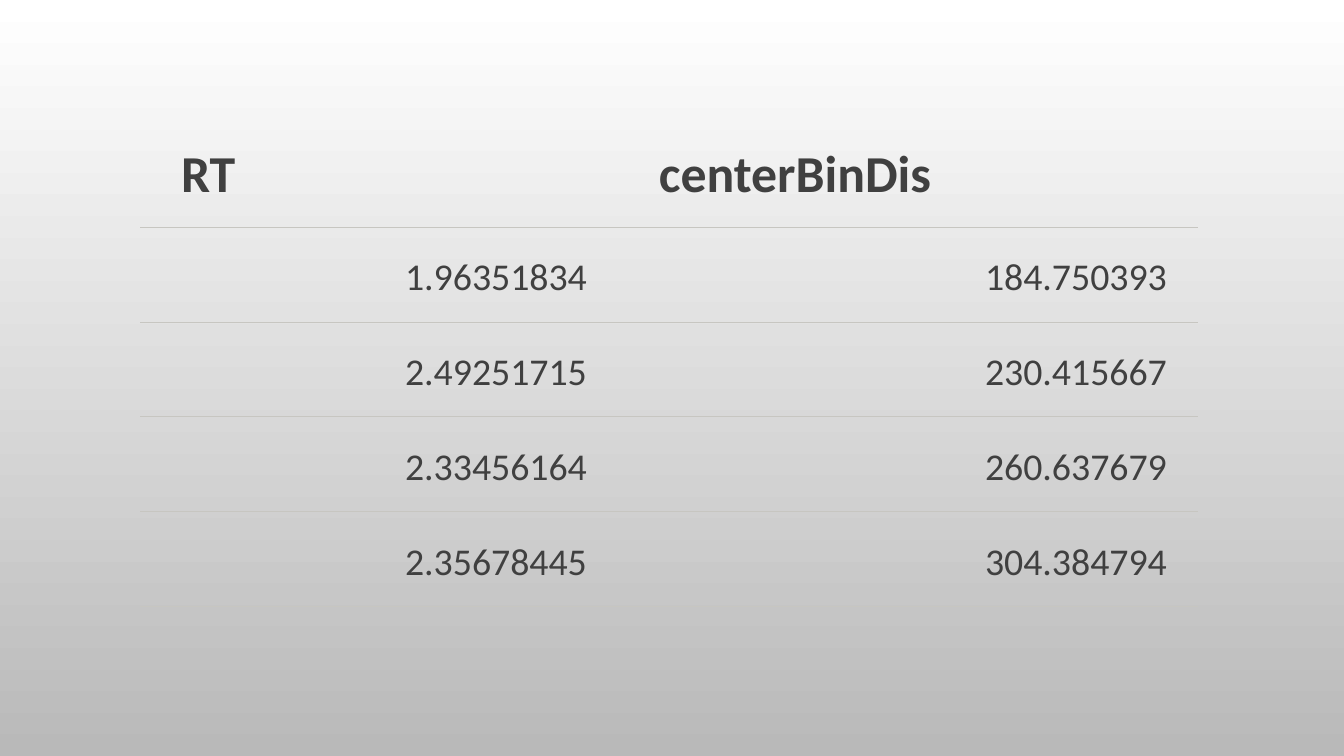
from lxml import etree
from pptx import Presentation
from pptx.dml.color import RGBColor
from pptx.enum.text import MSO_ANCHOR, PP_ALIGN
from pptx.oxml.ns import qn
from pptx.util import Emu, Pt

ROWS = [
    ("RT", "centerBinDis"),
    ("1.96351834", "184.750393"),
    ("2.49251715", "230.415667"),
    ("2.33456164", "260.637679"),
    ("2.35678445", "304.384794"),
]

SLIDE = (1344, 756)
LEFT, TOP = 140, 115
COLS = (478, 580)
HEAD, BODY = 112, 95
PAD_X, PAD_END, PAD_Y = 41, 31, 21

FONT = "Calibri"
INK = RGBColor(0x40, 0x40, 0x40)
RULE = RGBColor(0xC7, 0xC6, 0xC1)
SHADES = (RGBColor(0xFF, 0xFF, 0xFF), RGBColor(0xB9, 0xB9, 0xB9))
PLAIN = "{2D5ABB26-0587-4C30-8999-92F81FD0307C}"
BOTTOM = MSO_ANCHOR.BOTTOM
START, END = PP_ALIGN.LEFT, PP_ALIGN.RIGHT


def px(n):
    return Emu(round(n * 914400 / 100.8))


def rule_below(cell):
    line = etree.Element(qn("a:lnB"), w=str(Pt(0.75)))
    fill = etree.SubElement(line, qn("a:solidFill"))
    etree.SubElement(fill, qn("a:srgbClr"), val=str(RULE))
    cell._tc.get_or_add_tcPr().insert(0, line)


def fill_cell(cell, text, head):
    cell.fill.background()
    cell.vertical_anchor = BOTTOM
    cell.margin_left, cell.margin_right = px(PAD_X), px(PAD_END)
    cell.margin_top = cell.margin_bottom = px(PAD_Y)
    rule_below(cell)
    cell.text_frame.text = text
    para = cell.text_frame.paragraphs[0]
    para.alignment = START if head else END
    font = para.runs[0].font
    font.name, font.bold = FONT, head
    font.size = Pt(37 if head else 27)
    font.color.rgb = INK


def main():
    deck = Presentation()
    deck.slide_width, deck.slide_height = map(px, SLIDE)
    slide = deck.slides.add_slide(deck.slide_layouts[6])

    back = slide.background.fill
    back.gradient()
    back.gradient_angle = 270  # counter-clockwise, so light at the top
    for stop, shade in zip(back.gradient_stops, SHADES):
        stop.color.rgb = shade

    heights = [HEAD] + [BODY] * (len(ROWS) - 1)
    frame = slide.shapes.add_table(
        len(ROWS), len(COLS), px(LEFT), px(TOP), px(sum(COLS)), px(sum(heights)))
    table = frame.table
    table.horz_banding = False
    table._tbl.tblPr.find(qn("a:tableStyleId")).text = PLAIN
    for col, width in zip(table.columns, COLS):
        col.width = px(width)
    for r, (texts, height) in enumerate(zip(ROWS, heights)):
        table.rows[r].height = px(height)
        for c, text in enumerate(texts):
            fill_cell(table.cell(r, c), text, r == 0)

    deck.save("out.pptx")


if __name__ == "__main__":
    main()
